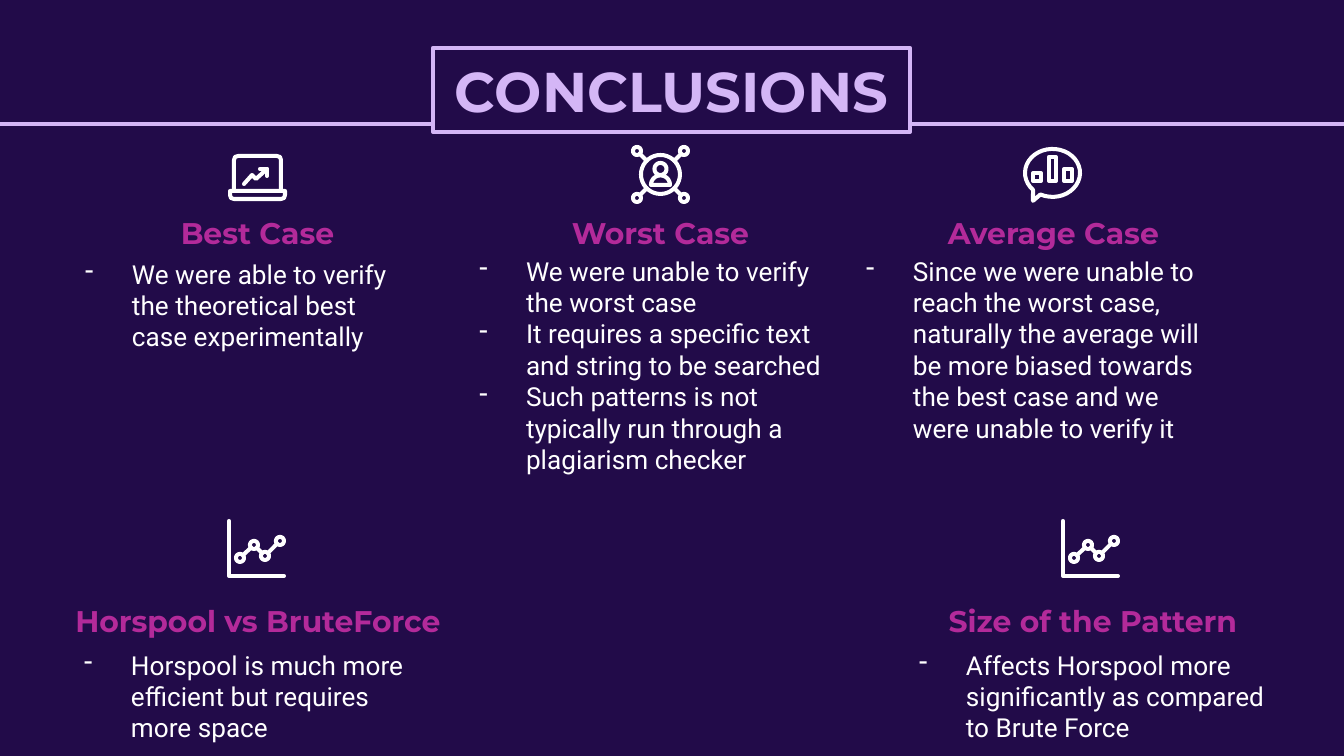
import math

from lxml import etree
from pptx import Presentation
from pptx.dml.color import RGBColor
from pptx.enum.shapes import MSO_CONNECTOR, MSO_SHAPE
from pptx.enum.text import MSO_ANCHOR, PP_ALIGN
from pptx.oxml.ns import qn
from pptx.util import Pt

STRAIGHT = MSO_CONNECTOR.STRAIGHT
RECTANGLE = MSO_SHAPE.RECTANGLE
MIDDLE, TOP = MSO_ANCHOR.MIDDLE, MSO_ANCHOR.TOP
CENTER, LEFT = PP_ALIGN.CENTER, PP_ALIGN.LEFT

EMU_PER_PX = 914400 / 134.4
WIDTH, HEIGHT = 1344, 756
INSET = 13
COLORS = {
    "night": "220B49",
    "lilac": "D4B6F6",
    "magenta": "B32A9A",
    "white": "FFFFFF",
}

# heading box, heading, body box, bullet items
SECTIONS = [
    ((90, 202, 335, 63), "Best Case", (52, 245, 372, 79),
     ["We were able to verify the theoretical best case experimentally"]),
    ((493, 202, 335, 63), "Worst Case", (446, 242, 406, 321),
     ["We were unable to verify the worst case",
      "It requires a specific text and string to be searched",
      "Such patterns is not typically run through a plagiarism checker"]),
    ((886, 202, 335, 63), "Average Case", (833, 242, 387, 79),
     ["Since we were unable to reach the worst case, naturally the average "
      "will be more biased towards the best case and we were unable to verify it"]),
    ((51, 590, 414, 103), "Horspool vs BruteForce", (51, 636, 387, 79),
     ["Horspool is much more efficient but requires more space"]),
    ((886, 590, 414, 103), "Size of the Pattern", (886, 636, 414, 79),
     ["Affects Horspool more significantly as compared to Brute Force"]),
]


def px(length):
    return round(length * EMU_PER_PX)


def rgb(name):
    return RGBColor.from_string(COLORS[name])


def arc(cx, cy, rx, ry, start=0, end=360):
    """Points along an ellipse, in degrees clockwise from the right."""
    angles = [math.radians(start + (end - start) * i / 36) for i in range(37)]
    return [(cx + rx * math.cos(a), cy + ry * math.sin(a)) for a in angles]


def ring(center, radius):
    return arc(*center, radius, radius)


def box(left, top, right, bottom):
    return [(left, top), (right, top), (right, bottom), (left, bottom), (left, top)]


def link(a, b, radius_a, radius_b):
    """Segment between the edges of two rings."""
    distance = math.dist(a, b)
    shares = (radius_a / distance, 1 - radius_b / distance)
    return [(a[0] + (b[0] - a[0]) * t, a[1] + (b[1] - a[1]) * t) for t in shares]


def laptop_icon():
    screen = [(6, 37), (6, 6), (7, 3), (10, 2), (49, 2), (52, 3), (53, 6), (53, 37)]
    base = [(2, 37), (57, 37), (57, 41), (56, 44), (53, 45),
            (6, 45), (3, 44), (2, 41), (2, 37)]
    trend = [(16, 30), (24, 21), (28, 25), (39, 15)]
    arrowhead = [(32, 15), (39, 15), (39, 22)]
    return [[screen, base], [trend, arrowhead]]


def network_icon():
    hub = (29.5, 29.5)
    nodes = [(x, y) for x in (6, 53) for y in (6, 53)]
    shoulders = arc(29.5, 40, 9.5, 9.5, 180, 360) + [(20, 40)]
    web = [ring(hub, 19.5)]
    for node in nodes:
        web += [ring(node, 4), link(node, hub, 4, 19.5)]
    return [[ring((29.5, 24), 6), shoulders], web]


def bubble_icon():
    outline = arc(29.5, 26, 27.5, 24, 135, 476)
    bubble = outline + [(10, 54), outline[0]]
    bars = [box(10, 26, 18, 34), box(26, 10, 33, 34), box(41, 22, 49, 34)]
    return [[bar] for bar in bars] + [[bubble]]


def chart_icon():
    points = [(13, 39), (27, 26), (38, 37), (53, 22)]
    series = [ring(point, 4) for point in points]
    series += [link(a, b, 4, 4) for a, b in zip(points, points[1:])]
    return [[[(2, 2), (2, 57), (57, 57)]], series]


def add_icon(slide, left, top, parts):
    """Group of stroked outlines, each part a list of contours in px."""
    icon = slide.shapes.add_group_shape()
    for contours in parts:
        placed = [[(px(left + x), px(top + y)) for x, y in c] for c in contours]
        builder = icon.shapes.build_freeform(*placed[0][0], scale=1.0)
        for index, contour in enumerate(placed):
            if index:
                builder.move_to(*contour[0])
            builder.add_line_segments(contour[1:], close=False)
        outline = builder.convert_to_shape()
        outline.shadow.inherit = False
        outline.fill.background()
        outline.line.color.rgb = rgb("white")
        outline.line.width = Pt(2.15)
        outline._element.spPr.find(qn("a:ln")).set("cap", "rnd")


def add_bullet(paragraph):
    properties = paragraph._p.get_or_add_pPr()
    properties.set("marL", str(px(67)))
    properties.set("indent", str(px(-47)))
    color = etree.SubElement(properties, qn("a:buClr"))
    etree.SubElement(color, qn("a:srgbClr"), val=COLORS["white"])
    etree.SubElement(properties, qn("a:buChar"), char="-")


def write(shape, lines, font, size, color, bold=False, align=CENTER,
          anchor=TOP, bulleted=False):
    frame = shape.text_frame
    frame.word_wrap = True
    frame.vertical_anchor = anchor
    frame.margin_left = frame.margin_right = px(INSET)
    frame.margin_top = frame.margin_bottom = px(INSET)
    frame.text = "\n".join(lines)
    for paragraph in frame.paragraphs:
        paragraph.alignment = align
        paragraph.font.name = font
        paragraph.font.size = Pt(size)
        paragraph.font.bold = bold
        paragraph.font.color.rgb = rgb(color)
        if bulleted:
            add_bullet(paragraph)


def add_banner(slide, title):
    """Framed title on a rule across the slide."""
    rule = slide.shapes.add_connector(STRAIGHT, px(-9), px(124), px(WIDTH + 9), px(124))
    etree.SubElement(rule._element.spPr, qn("a:effectLst"))
    frame = slide.shapes.add_shape(RECTANGLE, px(433), px(48), px(477), px(84))
    frame.shadow.inherit = False
    frame.fill.solid()
    frame.fill.fore_color.rgb = rgb("night")
    for shape in (rule, frame):
        shape.line.color.rgb = rgb("lilac")
        shape.line.width = Pt(2.25)
    write(frame, [title], "Montserrat", 30, "lilac", bold=True, anchor=MIDDLE)


def add_section(slide, heading_box, heading, body_box, items):
    heading_text = slide.shapes.add_textbox(*map(px, heading_box))
    write(heading_text, [heading], "Montserrat", 16, "magenta", bold=True)
    body_text = slide.shapes.add_textbox(*map(px, body_box))
    write(body_text, items, "Roboto", 14, "white", align=LEFT, bulleted=True)


def main():
    presentation = Presentation()
    presentation.slide_width, presentation.slide_height = px(WIDTH), px(HEIGHT)
    slide = presentation.slides.add_slide(presentation.slide_layouts[6])
    slide.background.fill.solid()
    slide.background.fill.fore_color.rgb = rgb("night")

    add_banner(slide, "CONCLUSIONS")
    for section in SECTIONS:
        add_section(slide, *section)
    add_icon(slide, 228, 154, laptop_icon())
    add_icon(slide, 631, 145, network_icon())
    add_icon(slide, 1023, 147, bubble_icon())
    for left in (227, 1061):
        add_icon(slide, left, 519, chart_icon())

    presentation.save("out.pptx")


if __name__ == "__main__":
    main()
